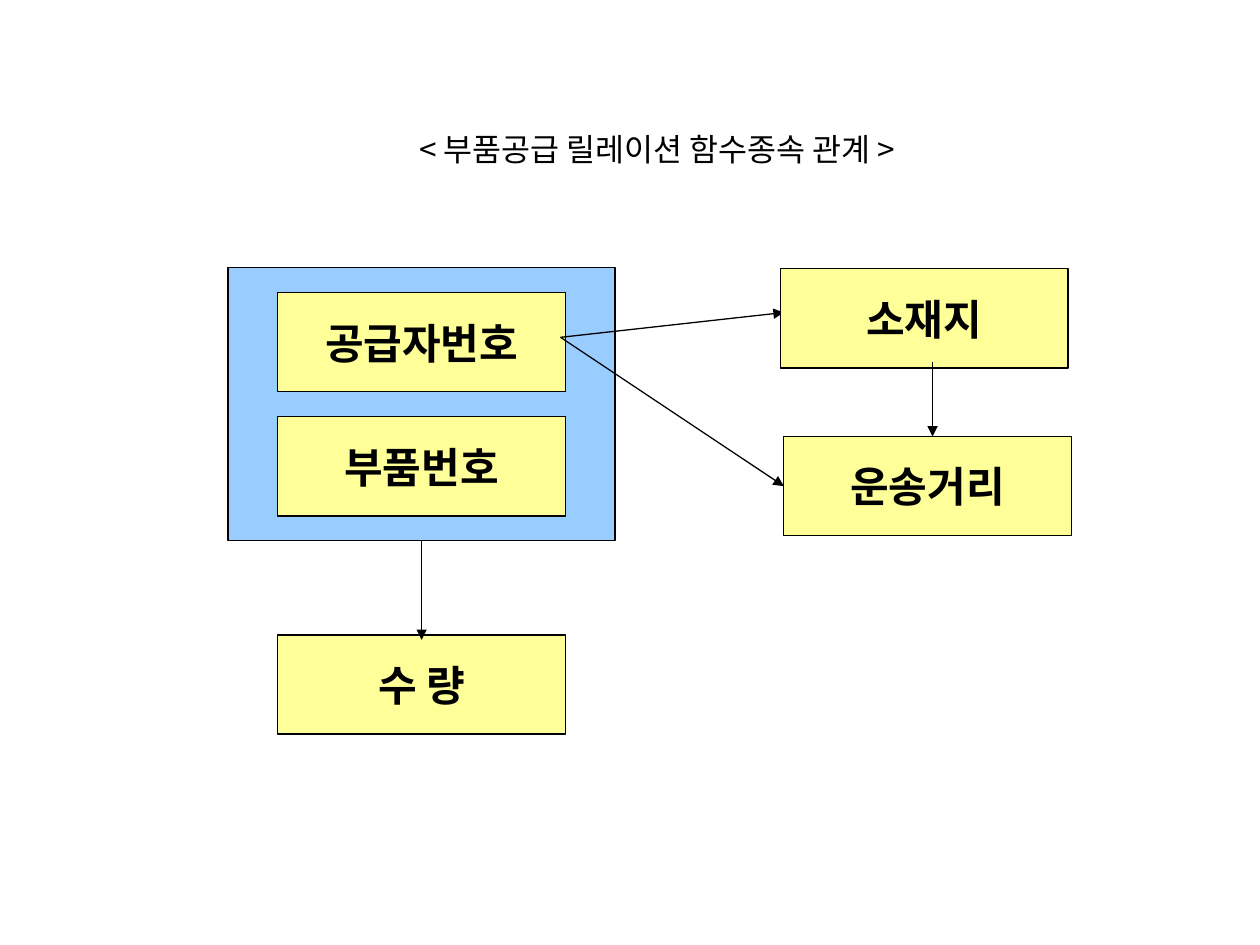
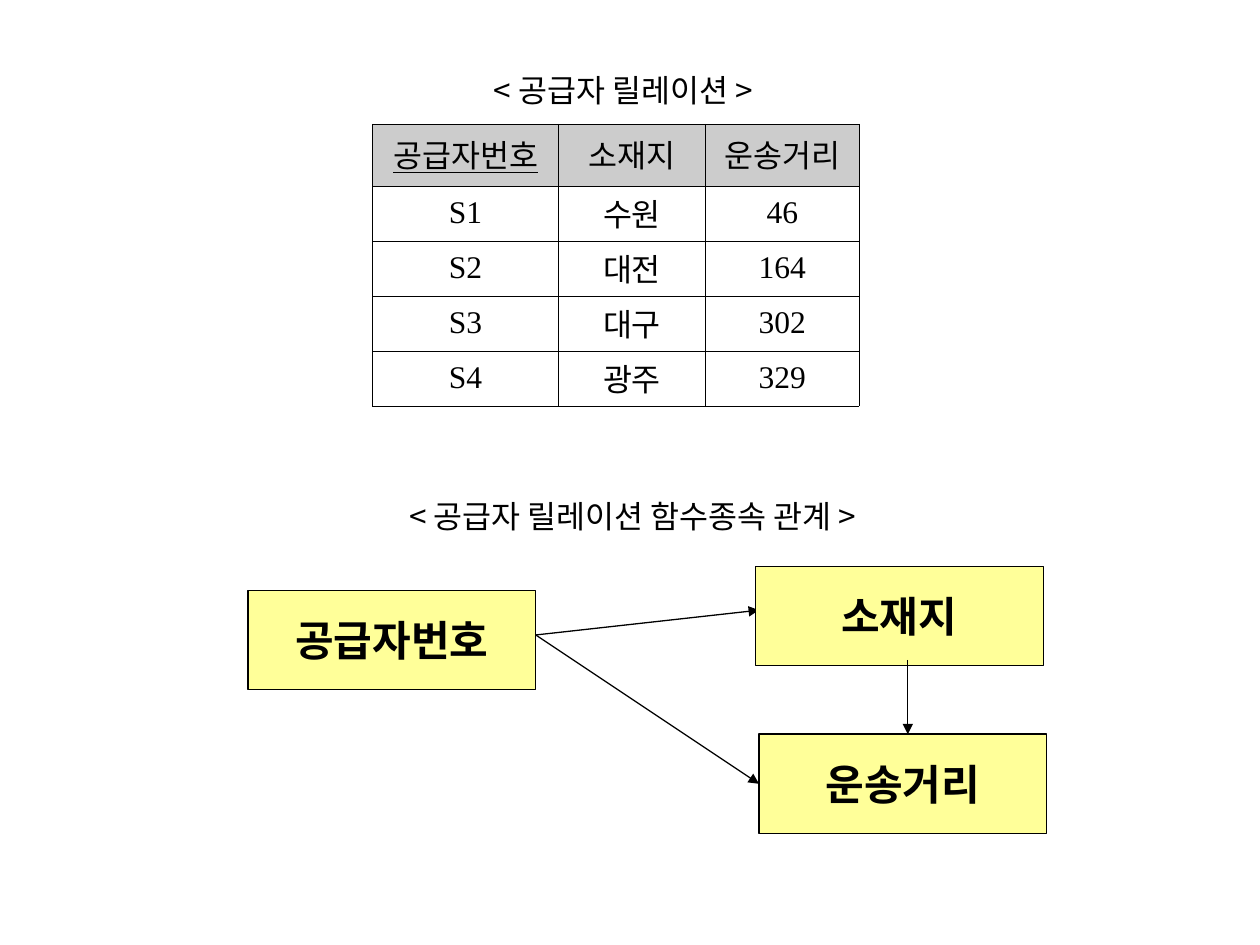
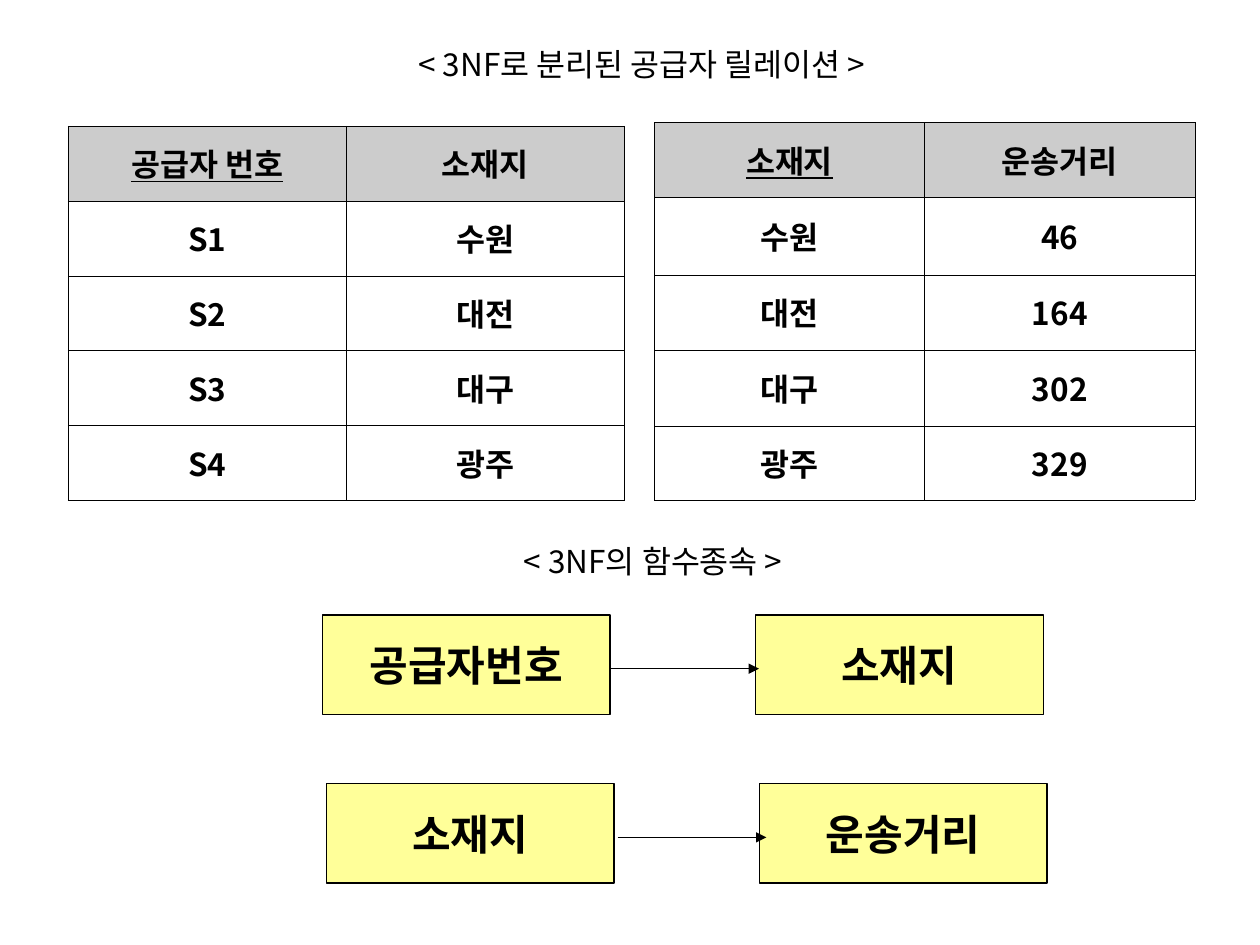
import dataclasses

import lxml.etree
import pptx
import pptx.dml.color
import pptx.enum.shapes
import pptx.enum.text
import pptx.oxml.ns
import pptx.util

Cm = pptx.util.Cm
Pt = pptx.util.Pt
RGB = pptx.dml.color.RGBColor.from_string
qn = pptx.oxml.ns.qn
Align = pptx.enum.text.PP_ALIGN
Anchor = pptx.enum.text.MSO_ANCHOR
Shape = pptx.enum.shapes.MSO_SHAPE


@dataclasses.dataclass(frozen=True)
class Theme:
    ink: str = "000000"
    box: str = "FFFF99"
    panel: str = "99CCFF"
    header: str = "CCCCCC"
    paper: str = "FFFFFF"
    font: str = "Noto Sans CJK KR"
    serif: str = "Times New Roman"
    caption_size: int = 18
    box_size: int = 24
    table_size: int = 18
    line: float = 0.75
    border: float = 0.28
    box_w: float = 5.8
    box_h: float = 2


class Deck:
    def __init__(self, theme):
        self.theme = theme
        self.prs = pptx.Presentation()
        self.prs.slide_width, self.prs.slide_height = Cm(25.4), Cm(19.05)
        self.s = None

    # Text
    def style(self, p, size, font=None, bold=False, underline=False, align=Align.LEFT):
        p.alignment = align
        for r in p.runs:
            r.font.name = font or self.theme.font
            r.font.size = Pt(size)
            r.font.bold = bold
            r.font.underline = underline
            r.font.color.rgb = RGB(self.theme.ink)
            ea = lxml.etree.SubElement(r._r.get_or_add_rPr(), qn("a:ea"))
            ea.set("typeface", self.theme.font)

    def set_caption(self, sp, text):
        tf = sp.text_frame
        tf.text = text
        tf.word_wrap = False
        tf.auto_size = pptx.enum.text.MSO_AUTO_SIZE.NONE
        tf.vertical_anchor = Anchor.TOP
        self.style(tf.paragraphs[0], self.theme.caption_size)

    def add_slide(self, title, x, y, w):
        self.s = self.prs.slides.add_slide(self.prs.slide_layouts[5])
        sp = self.s.shapes.title
        sp.left, sp.top, sp.width, sp.height = Cm(x), Cm(y), Cm(w), Cm(1.02)
        self.set_caption(sp, title)
        # Titles wrap at the box edge, so leave the full width to the text
        sp.text_frame.margin_right = 0

    def caption(self, text, x, y, w):
        sp = self.s.shapes.add_textbox(Cm(x), Cm(y), Cm(w), Cm(1.02))
        self.set_caption(sp, text)

    # Shapes
    def panel(self, x, y, w, h, fill):
        sp = self.s.shapes.add_shape(Shape.ROUNDED_RECTANGLE, Cm(x), Cm(y), Cm(w), Cm(h))
        sp.adjustments[0] = 0
        sp.shadow.inherit = False
        sp.fill.solid()
        sp.fill.fore_color.rgb = RGB(fill)
        sp.line.color.rgb = RGB(self.theme.ink)
        sp.line.width = Pt(self.theme.line)
        return sp

    def box(self, text, x, y):
        t = self.theme
        tf = self.panel(x, y, t.box_w, t.box_h, t.box).text_frame
        tf.text = text
        tf.vertical_anchor = Anchor.MIDDLE
        self.style(tf.paragraphs[0], t.box_size, bold=True, align=Align.CENTER)

    def arrow(self, x1, y1, x2, y2):
        line = self.s.shapes.add_connector(
            pptx.enum.shapes.MSO_CONNECTOR.STRAIGHT, Cm(x1), Cm(y1), Cm(x2), Cm(y2))
        line.line.color.rgb = RGB(self.theme.ink)
        line.line.width = Pt(self.theme.line)
        lxml.etree.SubElement(line.line._get_or_add_ln(), qn("a:tailEnd"), type="triangle")
        lxml.etree.SubElement(line._element.spPr, qn("a:effectLst"))

    def supplier_dependencies(self, x, y):
        """Arrows from the supplier number at (x, y) to location and distance."""
        self.arrow(x, y, x + 4.5, y - 0.5)
        self.box("소재지", x + 4.43, y - 1.38)
        self.box("운송거리", x + 4.5, y + 2)
        self.arrow(x, y, x + 4.5, y + 3)
        self.arrow(x + 7.5, y + 0.5, x + 7.5, y + 2)

    # Tables
    def table(self, rows, x, y, widths, heights, font=None, bold=False, spacing=0.96):
        t = self.theme
        table = self.s.shapes.add_table(
            len(rows), len(widths), Cm(x), Cm(y), Cm(sum(widths)), Cm(sum(heights))).table
        table.first_row = table.horz_banding = False
        for col, w in zip(table.columns, widths):
            col.width = Cm(w)
        for i, (row, h) in enumerate(zip(rows, heights)):
            table.rows[i].height = Cm(h)
            for j, text in enumerate(row):
                cell = table.cell(i, j)
                cell.text = text
                cell.vertical_anchor = Anchor.MIDDLE
                p = cell.text_frame.paragraphs[0]
                # The key column's heading is underlined
                self.style(p, t.table_size, font, bold, i == j == 0, Align.CENTER)
                p.line_spacing = spacing
                self.borders(cell)
                cell.fill.solid()
                cell.fill.fore_color.rgb = RGB(t.paper if i else t.header)

    def borders(self, cell):
        tcPr = cell._tc.get_or_add_tcPr()
        for side in ("a:lnL", "a:lnR", "a:lnT", "a:lnB"):
            ln = lxml.etree.SubElement(tcPr, qn(side), w=str(Pt(self.theme.border)))
            fill = lxml.etree.SubElement(ln, qn("a:solidFill"))
            lxml.etree.SubElement(fill, qn("a:srgbClr"), val=self.theme.ink)


SUPPLIERS = [
    ("S1", "수원", "46"),
    ("S2", "대전", "164"),
    ("S3", "대구", "302"),
    ("S4", "광주", "329"),
]


def main():
    theme = Theme()
    deck = Deck(theme)

    # Slide 1: dependencies of the parts supply relation
    deck.add_slide("< 부품공급 릴레이션 함수종속 관계 >", 8.2, 2.49, 10.6)
    deck.panel(4.6, 5.4, 7.8, 5.5, theme.panel)
    for text, y in (("공급자번호", 5.9), ("부품번호", 8.4), ("수 량", 12.8)):
        deck.box(text, 5.6, y)
    deck.supplier_dependencies(11.3, 6.8)
    deck.arrow(8.5, 10.9, 8.5, 12.9)

    # Slide 2: supplier relation and its dependencies
    deck.add_slide("< 공급자 릴레이션 >", 9.7, 1.3, 6.2)
    deck.table([("공급자번호", "소재지", "운송거리")] + SUPPLIERS, 7.51, 2.5,
               [3.75, 2.96, 3.1], [1.25] + [1.11] * 4, font=theme.serif, spacing=0.93)
    deck.caption("< 공급자 릴레이션 함수종속 관계 >", 8, 9.9, 9.86)
    deck.supplier_dependencies(10.8, 12.8)
    deck.box("공급자번호", 5, 11.9)

    # Slide 3: the relation split into third normal form
    deck.add_slide("< 3NF로 분리된 공급자 릴레이션 >", 8.18, 0.79, 10.1)
    deck.table([("공급자 번호", "소재지")] + [row[:2] for row in SUPPLIERS],
               1.37, 2.54, [5.61] * 2, [1.51] * 5, bold=True)
    deck.table([("소재지", "운송거리")] + [row[1:] for row in SUPPLIERS],
               13.19, 2.47, [5.45] * 2, [1.51, 1.57, 1.51, 1.53, 1.49], bold=True)
    deck.caption("< 3NF의 함수종속 >", 10.31, 10.8, 5.87)
    for key, value, x, y, dx in (("공급자번호", "소재지", 6.5, 12.4, 0),
                                 ("소재지", "운송거리", 6.58, 15.8, 0.07)):
        deck.box(key, x, y)
        deck.box(value, x + 8.73, y)
        start = x + theme.box_w + dx
        deck.arrow(start, y + 1.08, start + 3, y + 1.08)

    deck.prs.save("out.pptx")


if __name__ == "__main__":
    main()
